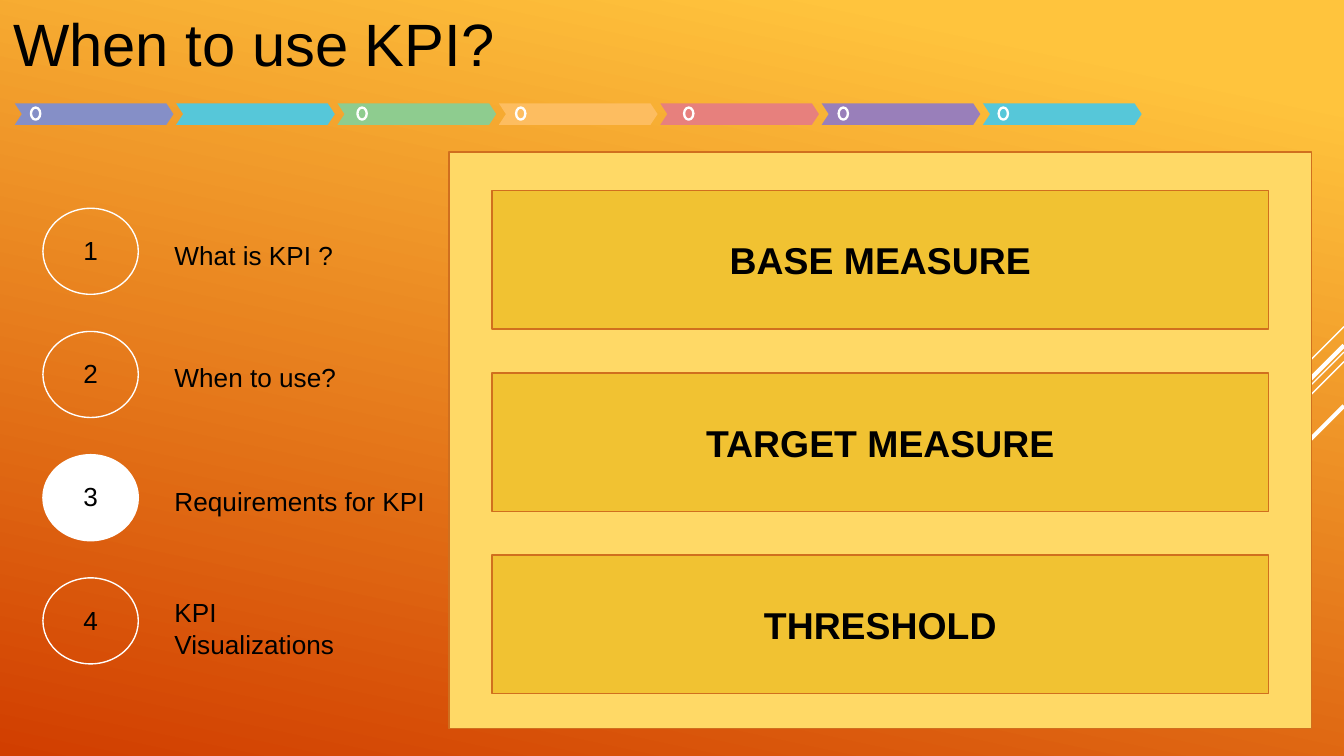
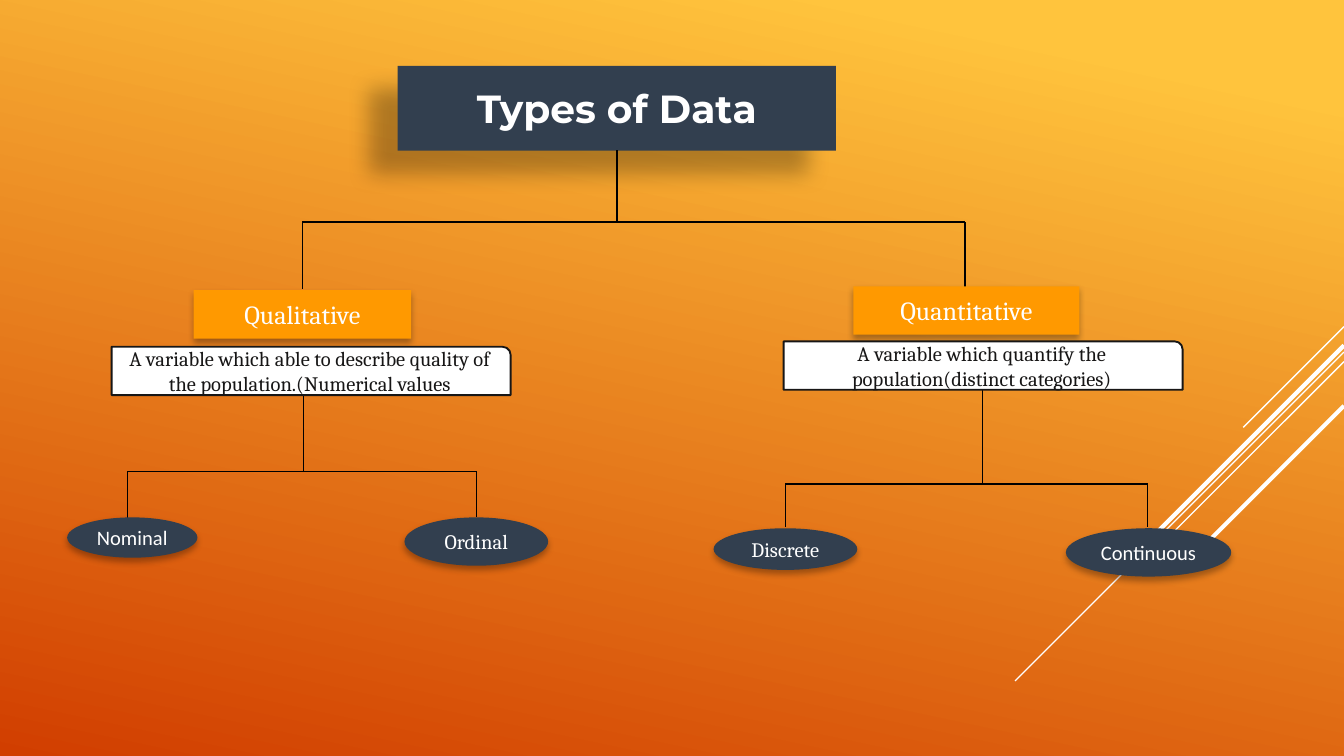
"""Builds two slides: the KPI requirements and the types of data."""
from copy import deepcopy
from dataclasses import dataclass

from lxml import etree
from pptx import Presentation
from pptx.dml.color import RGBColor
from pptx.enum.shapes import MSO_CONNECTOR, MSO_SHAPE
from pptx.enum.text import MSO_ANCHOR, MSO_AUTO_SIZE, PP_ALIGN
from pptx.oxml.ns import qn
from pptx.util import Pt

RECTANGLE = MSO_SHAPE.RECTANGLE
ELLIPSE = MSO_SHAPE.OVAL
CHEVRON = MSO_SHAPE.CHEVRON
ROUND_CARD = MSO_SHAPE.ROUND_1_RECTANGLE
STRAIGHT = MSO_CONNECTOR.STRAIGHT
TOP, MIDDLE = MSO_ANCHOR.TOP, MSO_ANCHOR.MIDDLE
LEFT, CENTER = PP_ALIGN.LEFT, PP_ALIGN.CENTER
GROW = MSO_AUTO_SIZE.SHAPE_TO_FIT_TEXT


@dataclass(frozen=True)
class TextStyle:
    """Font, size, colour and weight of one kind of text."""
    font: str
    size: float
    color: str
    bold: bool = False


@dataclass(frozen=True)
class Shadow:
    """Outer shadow: opacity in percent, blur and distance in points, angle in degrees."""
    opacity: int
    blur: float
    distance: float
    angle: int


@dataclass(frozen=True)
class Theme:
    """Colours, type styles and shadows of the deck."""
    gradient: tuple = ((0, "FFC43D"), (0.1, "FFC43D"), (1, "D13E00"))
    black: str = "000000"
    white: str = "FFFFFF"
    dot: str = "FEFEFE"
    panel: str = "FFD966"
    card: str = "F1C232"
    border: str = "D06F1E"
    navy: str = "323F4F"
    orange: str = "FF9900"
    ink: str = "171616"
    chevrons: tuple = ("858FC7", "56C7D9", "8ECC8F", "FDBD60",
                       "E7807D", "997FBA", "56C7D9")
    title: TextStyle = TextStyle("Arial", 32, "000000")
    step: TextStyle = TextStyle("Arial", 14, "000000")
    measure: TextStyle = TextStyle("Arial", 20, "000000", True)
    root: TextStyle = TextStyle("Montserrat", 21, "FFFFFF", True)
    branch: TextStyle = TextStyle("Cambria", 14, "FEFEFE")
    detail: TextStyle = TextStyle("Cambria", 11, "171616")
    leaf: TextStyle = TextStyle("Cambria", 11, "FFFFFF")
    plain_leaf: TextStyle = TextStyle("Calibri", 11, "FFFFFF")
    deep_shadow: Shadow = Shadow(27, 11.8, 19.7, 141)
    soft_shadow: Shadow = Shadow(31, 3.5, 2.2, 90)


THEME = Theme()
WIDE_INSETS = (7.2, 7.2)
TITLE_INSETS = (7.2, 3.6)
TREE_INSETS = (5, 2.9)

STRIPES = ((175, 54, 0.75), (188.6, 176.2, 0.75), (193.7, 112.2, 0.75),
           (185, 103, 2.25), (217.4, 74.9, 2.25))
DOT_LEFTS = (16.6, 191.5, 276.5, 366.5, 449.3, 535)
MEASURES = ("BASE MEASURE", "TARGET MEASURE", "THRESHOLD")
STEPS = (("What is KPI ?", 121, 124.6, 31.7),
         ("When to use?", 186.5, 124.6, 31.7),
         ("Requirements for KPI", 252.7, 165.6, 31.7),
         ("KPI Visualizations", 312.5, 124.6, 48.2))
CURRENT_STEP = 3

BRANCHES = (("Qualitative", (103.7, 155.5, 116.6, 25.9)),
            ("Quantitative", (457.2, 153.4, 121, 25.9)))
DETAILS = (("A variable which able to describe quality of the population.(Numerical values",
            (59.8, 185.8, 213.8, 25.9)),
           ("A variable which quantify the population(distinct categories)",
            (419.8, 182.9, 213.8, 25.9)))
LEAVES = (("Nominal", (36, 277.2, 69.8, 21.6), THEME.plain_leaf),
          ("Ordinal", (216.7, 277.2, 77, 25.9), THEME.leaf),
          ("Discrete", (382.3, 283, 77, 22.3), THEME.leaf),
          ("Continuous", (571, 283, 88.6, 25.9), THEME.plain_leaf))
FORKS = ((330.5, 80.6, 119, (162, 517), (154.8, 154.1)),
         (162.7, 211.7, 252.5, (68.4, 255.4), (278.6, 277.2)),
         (526.3, 208.8, 259.2, (420.8, 614.9), (282.2, 282.2)))


def rgb(code):
    """Return the colour for a hex code."""
    return RGBColor.from_string(code)


def write(box, text, style, align=CENTER, anchor=MIDDLE, insets=WIDE_INSETS):
    """Put one styled paragraph into a box."""
    frame = box.text_frame
    frame.text = text
    frame.word_wrap = True
    frame.vertical_anchor = anchor
    frame.margin_left = frame.margin_right = Pt(insets[0])
    frame.margin_top = frame.margin_bottom = Pt(insets[1])
    para = frame.paragraphs[0]
    para.alignment = align
    for span in para.runs:
        span.font.name = style.font
        span.font.size = Pt(style.size)
        span.font.bold = style.bold
        span.font.color.rgb = rgb(style.color)


def add_label(page, area, text, style, insets=WIDE_INSETS):
    """Add a left-aligned text box and return it."""
    box = page.shapes.add_textbox(*map(Pt, area))
    write(box, text, style, LEFT, TOP, insets)
    return box


def add_figure(page, kind, area, fill=None, line=None, width=0.75, shadow=None):
    """Add a preset shape with optional fill, outline and shadow."""
    figure = page.shapes.add_shape(kind, *map(Pt, area))
    figure.shadow.inherit = False
    if fill:
        figure.fill.solid()
        figure.fill.fore_color.rgb = rgb(fill)
    else:
        figure.fill.background()
    if line:
        figure.line.color.rgb = rgb(line)
        figure.line.width = Pt(width)
    else:
        figure.line.fill.background()
    if shadow:
        cast_shadow(figure, shadow)
    return figure


def cast_shadow(figure, shadow):
    """Fill the empty effect list of a shape with an outer shadow."""
    effects = figure._element.spPr.find(qn("a:effectLst"))
    outer = etree.SubElement(
        effects, qn("a:outerShdw"), blurRad=str(Pt(shadow.blur)),
        dist=str(Pt(shadow.distance)), dir=str(shadow.angle * 60000),
        algn="ctr", rotWithShape="0")
    color = etree.SubElement(outer, qn("a:srgbClr"), val=THEME.black)
    etree.SubElement(color, qn("a:alpha"), val=str(shadow.opacity * 1000))


def add_line(page, start, end, color=THEME.black, width=0.75):
    """Draw a straight line without shadow."""
    line = page.shapes.add_connector(STRAIGHT, *map(Pt, (*start, *end)))
    line.line.color.rgb = rgb(color)
    line.line.width = Pt(width)
    etree.SubElement(line._element.spPr, qn("a:effectLst"))


def add_fork(page, stem, top, bar, sides, ends):
    """Draw a stem, a crossbar and one drop at each side."""
    add_line(page, (stem, top), (stem, bar))
    add_line(page, (sides[0], bar), (sides[1], bar))
    for side, end in zip(sides, ends):
        add_line(page, (side, bar), (side, end))


def add_page(deck):
    """Add a blank page with the gradient and the diagonal stripes."""
    page = deck.slides.add_slide(deck.slide_layouts[6])
    fill = page.background.fill
    fill.gradient()
    fill.gradient_angle = 258
    stop_list = page._element.find(".//" + qn("a:gsLst"))
    stop_list.append(deepcopy(stop_list[0]))
    for stop, (position, color) in zip(fill.gradient_stops, THEME.gradient):
        stop.position = position
        stop.color.rgb = rgb(color)
    for top, reach, width in STRIPES:
        add_line(page, (720, top), (720 - reach, top + reach), THEME.white, width)
    return page


def add_progress_band(page):
    """Draw the row of coloured chevrons and its dots."""
    for index, color in enumerate(THEME.chevrons):
        area = (7.9 + index * 86.45, 55.4, 85, 11.5)
        chevron = add_figure(page, CHEVRON, area, color)
        chevron.adjustments[0] = 0.33
    for left in DOT_LEFTS:
        add_figure(page, ELLIPSE, (left, 57.6, 5, 6.5), line=THEME.dot, width=1.25)


def add_measures(page):
    """Draw the panel with its stacked measure cards."""
    add_figure(page, RECTANGLE, (240.5, 81.4, 462.2, 308.9), THEME.panel, THEME.border)
    for index, text in enumerate(MEASURES):
        area = (263.5, 102.2 + index * 97.6, 416.2, 74.2)
        card = add_figure(page, RECTANGLE, area, THEME.card, THEME.border)
        write(card, text, THEME.measure)


def add_steps(page):
    """Draw the numbered agenda with the current step filled."""
    for index, (text, top, width, height) in enumerate(STEPS):
        number = index + 1
        fill = THEME.white if number == CURRENT_STEP else None
        area = (23, 111.6 + index * 66, 51.1, 46.1)
        circle = add_figure(page, ELLIPSE, area, fill, THEME.white)
        write(circle, str(number), THEME.step, anchor=TOP)
        label = add_label(page, (86.4, top, width, height), text, THEME.step)
        label.text_frame.auto_size = GROW


def build_requirements(deck):
    """Build the slide with the agenda and the KPI requirements."""
    page = add_page(deck)
    add_label(page, (0, 0, 512.6, 46), "When to use KPI?", THEME.title, TITLE_INSETS)
    add_progress_band(page)
    add_measures(page)
    add_steps(page)


def add_node(page, kind, area, text, style, **look):
    """Add one box of the tree with its centred text."""
    node = add_figure(page, kind, area, **look)
    write(node, text, style, insets=TREE_INSETS)


def build_data_types(deck):
    """Build the slide with the tree of data types."""
    page = add_page(deck)
    add_node(page, RECTANGLE, (213.1, 35.3, 234.7, 45.4), "Types of Data",
             THEME.root, fill=THEME.navy, shadow=THEME.deep_shadow)
    for fork in FORKS:
        add_fork(page, *fork)
    for text, area in BRANCHES:
        add_node(page, RECTANGLE, area, text, THEME.branch,
                 fill=THEME.orange, shadow=THEME.soft_shadow)
    for text, area in DETAILS:
        add_node(page, ROUND_CARD, area, text, THEME.detail,
                 fill=THEME.white, line=THEME.ink, width=1)
    for text, area, style in LEAVES:
        add_node(page, ELLIPSE, area, text, style,
                 fill=THEME.navy, shadow=THEME.soft_shadow)


def main():
    """Build and save the deck."""
    deck = Presentation()
    deck.slide_width, deck.slide_height = Pt(720), Pt(405)
    build_requirements(deck)
    build_data_types(deck)
    deck.save("out.pptx")


if __name__ == "__main__":
    main()
